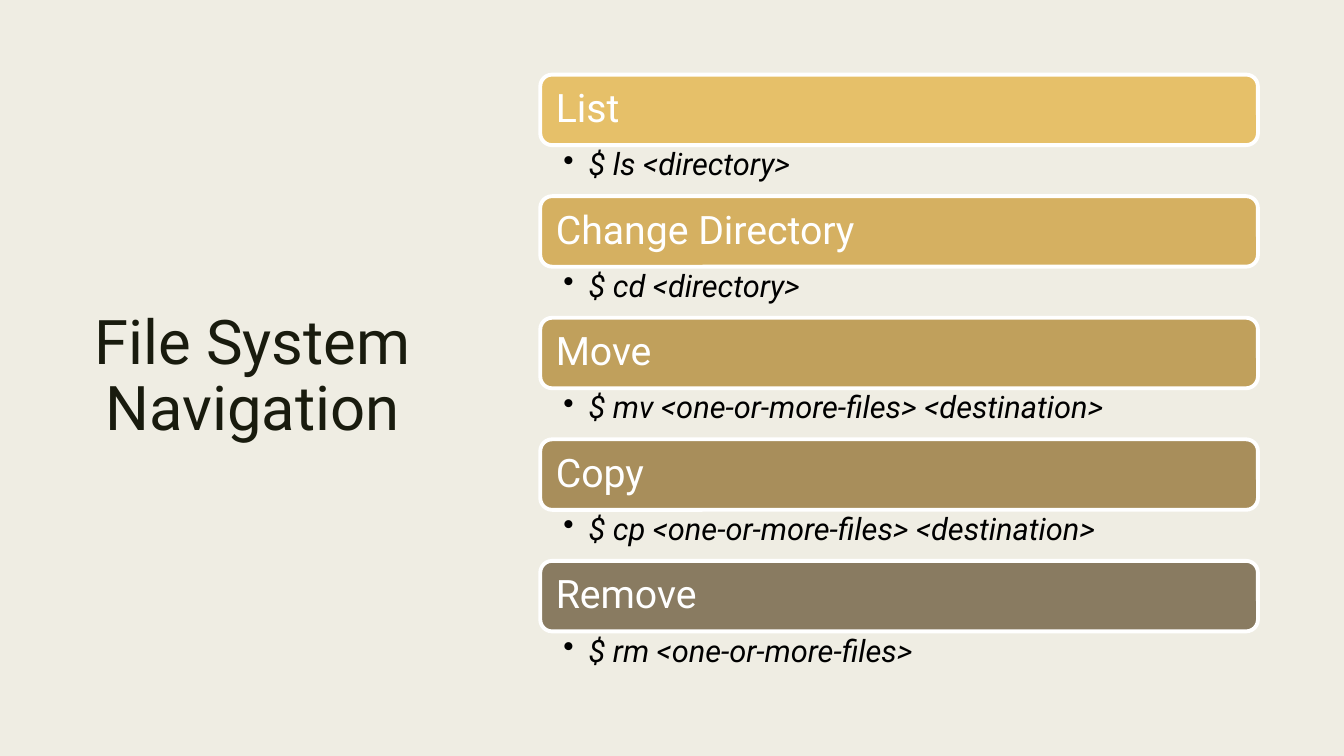
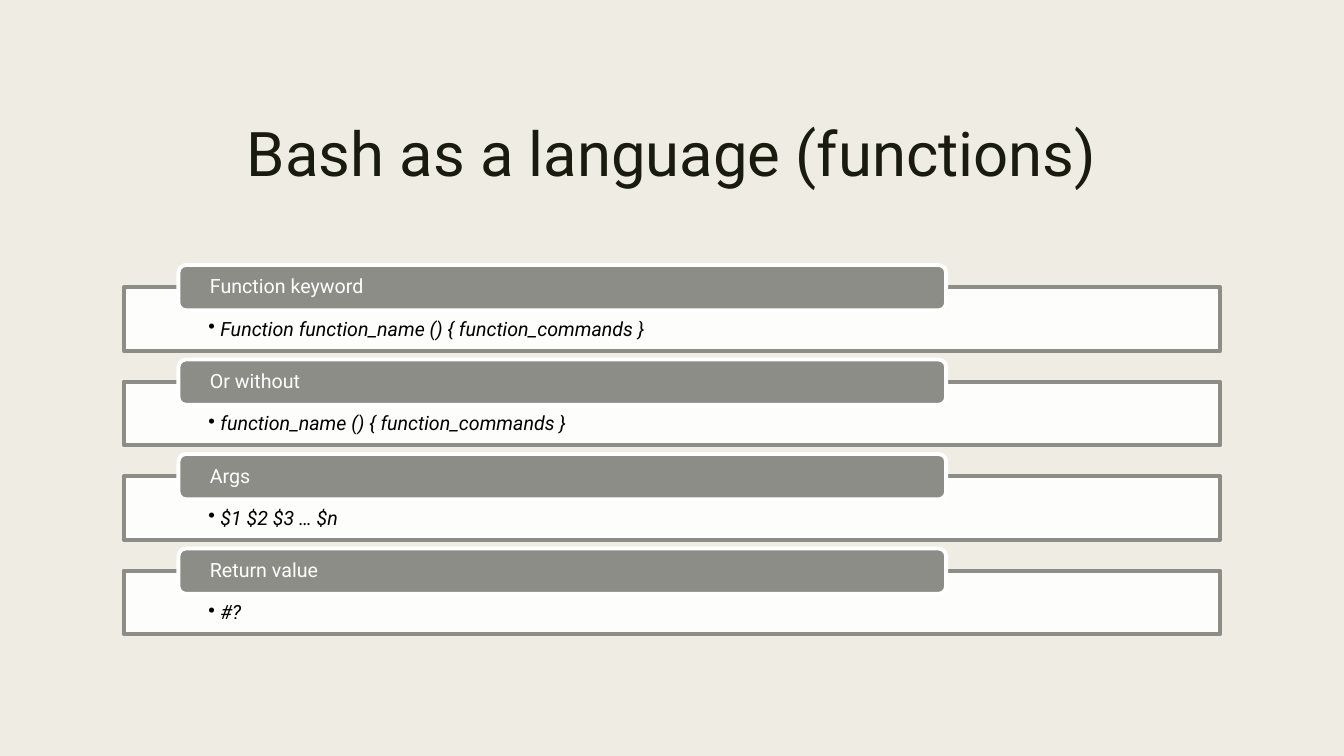
"""Build two slides on shell commands and Bash functions."""
from dataclasses import dataclass
from typing import Optional

from lxml.etree import SubElement
from pptx import Presentation
from pptx.dml.color import RGBColor
from pptx.enum.shapes import MSO_SHAPE as Preset
from pptx.enum.text import MSO_ANCHOR as Anchor, PP_ALIGN as Align
from pptx.oxml.ns import qn
from pptx.shapes.autoshape import Shape
from pptx.slide import Slide
from pptx.util import Inches, Pt

SLIDE_W, SLIDE_H = Inches(13.33), Inches(7.5)
FONT = "Roboto"
OUTLINE = Pt(2.75)

CREAM = RGBColor(0xEF, 0xED, 0xE3)
INK = RGBColor(0x19, 0x1B, 0x0E)
WHITE = RGBColor(0xFF, 0xFF, 0xFF)
BLACK = RGBColor(0x00, 0x00, 0x00)
GREY = RGBColor(0x8C, 0x8D, 0x86)
GOLD = RGBColor(0xE6, 0xC0, 0x69)
SAND = RGBColor(0xD5, 0xB0, 0x61)
OCHRE = RGBColor(0xC0, 0xA0, 0x5C)
BRONZE = RGBColor(0xA8, 0x8E, 0x5B)
UMBER = RGBColor(0x89, 0x7B, 0x61)


@dataclass(frozen=True)
class Area:
    """Hold a place as percentages of the slide's width and height."""
    left: float
    top: float
    width: float
    height: float

    def emu(self) -> tuple[int, int, int, int]:
        """Return the place in slide units."""
        return (int(SLIDE_W * self.left / 100), int(SLIDE_H * self.top / 100),
                int(SLIDE_W * self.width / 100), int(SLIDE_H * self.height / 100))


@dataclass(frozen=True)
class TextStyle:
    """Describe how a single paragraph looks; insets and hang are in inches."""
    size: int
    color: RGBColor
    insets: tuple[float, float, float, float]
    anchor: Anchor = Anchor.MIDDLE
    align: Align = Align.LEFT
    spacing: float = 0.9
    italic: bool = False
    hang: Optional[float] = None


@dataclass(frozen=True)
class Command:
    """Pair a file command with its usage and bar colour."""
    name: str
    usage: str
    color: RGBColor


@dataclass(frozen=True)
class Feature:
    """Pair a language feature with its syntax."""
    name: str
    syntax: str


TITLE = TextStyle(44, INK, (0.1, 0.05, 0.1, 0.05), align=Align.CENTER, spacing=0.89)
COMMAND_NAME = TextStyle(28, WHITE, (0.12, 0.12, 0.12, 0.12))
COMMAND_USAGE = TextStyle(22, BLACK, (0.23, 0.04, 0.22, 0.04), Anchor.TOP,
                          italic=True, hang=0.25)
FEATURE_NAME = TextStyle(14, WHITE, (0.29, 0, 0.29, 0))
FEATURE_SYNTAX = TextStyle(14, BLACK, (0.84, 0.32, 0.84, 0.11), Anchor.TOP,
                           italic=True, hang=0.12)

COMMANDS = (
    Command("List", "$ ls <directory>", GOLD),
    Command("Change Directory", "$ cd <directory>", SAND),
    Command("Move", "$ mv <one-or-more-files> <destination>", OCHRE),
    Command("Copy", "$ cp <one-or-more-files> <destination>", BRONZE),
    Command("Remove", "$ rm <one-or-more-files>", UMBER),
)
FEATURES = (
    Feature("Function keyword", "Function function_name () { function_commands }"),
    Feature("Or without", "function_name () { function_commands }"),
    Feature("Args", "$1 $2 $3 … $n"),
    Feature("Return value", "#?"),
)


def write(holder: Shape, text: str, style: TextStyle) -> None:
    """Put one styled paragraph into a shape or text box."""
    frame = holder.text_frame
    frame.text = text
    frame.word_wrap = True
    frame.vertical_anchor = style.anchor
    (frame.margin_left, frame.margin_top,
     frame.margin_right, frame.margin_bottom) = map(Inches, style.insets)
    paragraph = frame.paragraphs[0]
    paragraph.alignment = style.align
    paragraph.line_spacing = style.spacing
    if style.hang is not None:
        paragraph.level = 1
        properties = paragraph._p.get_or_add_pPr()
        properties.set("marL", str(Inches(style.hang)))
        properties.set("indent", str(-Inches(style.hang)))
        SubElement(properties, qn("a:buChar"), char="•")
    font = paragraph.runs[0].font
    font.name, font.size, font.italic = FONT, Pt(style.size), style.italic
    font.color.rgb = style.color


def add_text(slide: Slide, area: Area, text: str, style: TextStyle) -> None:
    """Add a text box."""
    write(slide.shapes.add_textbox(*area.emu()), text, style)


def add_panel(slide: Slide, preset: Preset, area: Area, fill: RGBColor, line: RGBColor,
              text: str, style: TextStyle, opacity: int = 100) -> None:
    """Add a filled, outlined shape with text."""
    panel = slide.shapes.add_shape(preset, *area.emu())
    panel.shadow.inherit = False
    panel.fill.solid()
    panel.fill.fore_color.rgb = fill
    if opacity < 100:
        color = panel._element.spPr.find(qn("a:solidFill")).find(qn("a:srgbClr"))
        SubElement(color, qn("a:alpha"), val=str(opacity * 1000))
    panel.line.color.rgb = line
    panel.line.width = OUTLINE
    write(panel, text, style)


def add_titled_slide(deck: Presentation, title: str, area: Area) -> Slide:
    """Add a cream slide with its title."""
    slide = deck.slides.add_slide(deck.slide_layouts[6])
    slide.background.fill.solid()
    slide.background.fill.fore_color.rgb = CREAM
    add_text(slide, area, title, TITLE)
    return slide


def build_navigation(deck: Presentation) -> None:
    """Stack command bars, each followed by its usage."""
    slide = add_titled_slide(deck, "File System Navigation", Area(5.25, 9.33, 27.08, 81.33))
    left, top, width, bar_height, usage_height = 40.2, 9.87, 53.4, 9.33, 6.75
    for row, command in enumerate(COMMANDS):
        bar_top = top + row * (bar_height + usage_height)
        add_panel(slide, Preset.ROUNDED_RECTANGLE, Area(left, bar_top, width, bar_height),
                  command.color, WHITE, command.name, COMMAND_NAME)
        add_text(slide, Area(left, bar_top + bar_height, width, usage_height),
                 command.usage, COMMAND_USAGE)


def build_functions(deck: Presentation) -> None:
    """Stack syntax frames, each with a label over its top edge."""
    slide = add_titled_slide(deck, "Bash as a language (functions)", Area(5.25, 10, 89.5, 21.6))
    left, top, width, height, pitch = 9.2, 38, 81.6, 8.4, 12.5
    label_rise, label_height = 2.95, 6
    for row, feature in enumerate(FEATURES):
        frame_top = top + row * pitch
        add_panel(slide, Preset.RECTANGLE, Area(left, frame_top, width, height),
                  WHITE, GREY, feature.syntax, FEATURE_SYNTAX, opacity=90)
        label = Area(left + 0.05 * width, frame_top - label_rise, 0.7 * width, label_height)
        add_panel(slide, Preset.ROUNDED_RECTANGLE, label, GREY, WHITE,
                  feature.name, FEATURE_NAME)


def main() -> None:
    """Build and save the deck."""
    deck = Presentation()
    deck.slide_width, deck.slide_height = SLIDE_W, SLIDE_H
    build_navigation(deck)
    build_functions(deck)
    deck.save("out.pptx")


if __name__ == "__main__":
    main()
